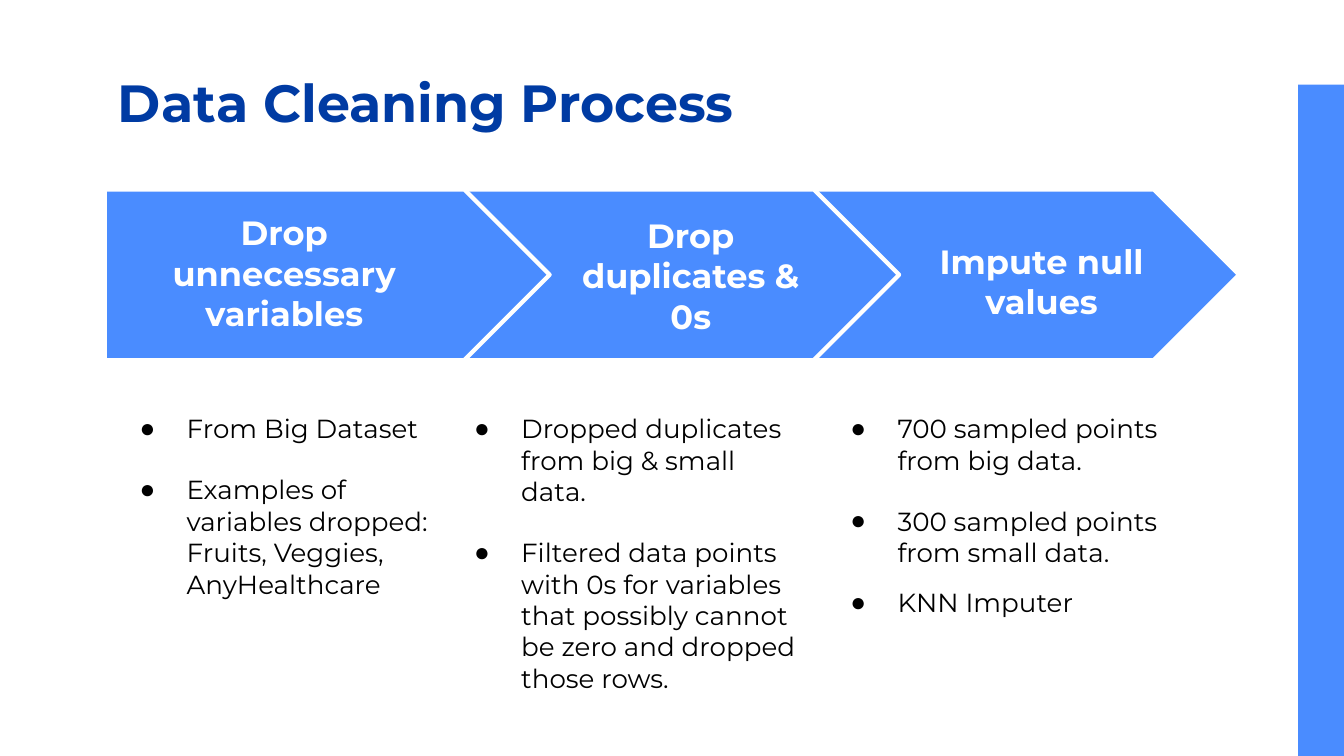
import dataclasses
import typing

import pptx
import pptx.dml.color
import pptx.enum.shapes
import pptx.enum.text
import pptx.oxml.ns
import pptx.presentation
import pptx.shapes.autoshape
import pptx.slide
import pptx.text.text
import pptx.util
from lxml import etree

Inches = pptx.util.Inches
Pt = pptx.util.Pt
Color = pptx.dml.color.RGBColor
Kind = pptx.enum.shapes.MSO_SHAPE
Align = pptx.enum.text.PP_ALIGN

FONT = "Montserrat"
BLUE = Color(0x4A, 0x8C, 0xFF)
NAVY = Color(0x00, 0x3B, 0xA3)
WHITE = Color(0xFF, 0xFF, 0xFF)
BLACK = Color(0x00, 0x00, 0x00)


class Box(typing.NamedTuple):
    left: float
    top: float
    width: float
    height: float


class Point(typing.NamedTuple):
    text: str
    before: int = 0


@dataclasses.dataclass(frozen=True)
class Step:
    arrow: float
    head: str
    label: Box
    notes: Box
    points: tuple[Point, ...]


STEPS = (
    Step(0.78, "Drop unnecessary variables", Box(0.95, 1.48, 2.33, 1.01), Box(0.79, 2.97, 2.66, 2.15), (
        Point("From Big Dataset"),
        Point("Examples of variables dropped: Fruits, Veggies, AnyHealthcare", 16),
    )),
    Step(3.38, "Drop duplicates & 0s", Box(4.19, 1.5, 1.9, 0.99), Box(3.28, 2.97, 2.76, 2.15), (
        Point("Dropped duplicates from big & small data."),
        Point("Filtered data points with 0s for variables that possibly cannot be zero and dropped those rows.", 16),
    )),
    Step(5.91, "Impute null values", Box(6.8, 1.69, 1.9, 0.71), Box(6.08, 2.97, 2.66, 2.15), (
        Point("700 sampled points from big data."),
        Point("300 sampled points from small data.", 16),
        Point("KNN Imputer", 10),
    )),
)


def add_block(slide: pptx.slide.Slide, kind: Kind, box: Box) -> pptx.shapes.autoshape.Shape:
    shape = slide.shapes.add_shape(kind, *map(Inches, box))
    shape.shadow.inherit = False
    shape.fill.solid()
    shape.fill.fore_color.rgb = BLUE
    shape.line.fill.background()
    return shape


def add_arrow(slide: pptx.slide.Slide, left: float) -> None:
    shape = add_block(slide, Kind.PENTAGON, Box(left, 1.41, 3.31, 1.27))
    shape.adjustments[0] = 0.5
    shape.line.color.rgb = WHITE
    shape.line.width = Pt(2.25)


def add_frame(slide: pptx.slide.Slide, box: Box) -> pptx.text.text.TextFrame:
    frame = slide.shapes.add_textbox(*map(Inches, box)).text_frame
    frame.word_wrap = True
    frame.margin_left = frame.margin_right = Inches(0.1)
    frame.margin_top = frame.margin_bottom = Inches(0.1)
    return frame


def style(para: pptx.text.text._Paragraph, size: int, color: Color, bold: bool = False) -> None:
    para.font.name = FONT
    para.font.size = Pt(size)
    para.font.bold = bold
    para.font.color.rgb = color


def add_line(slide: pptx.slide.Slide, box: Box, text: str, size: int, color: Color, align: Align) -> None:
    para = add_frame(slide, box).paragraphs[0]
    para.text = text
    para.alignment = align
    style(para, size, color, bold=True)


def add_bullet(para: pptx.text.text._Paragraph) -> None:
    qn = pptx.oxml.ns.qn
    props = para._p.get_or_add_pPr()
    props.set("marL", str(Inches(0.5)))
    props.set("indent", str(Inches(-0.35)))
    tint = etree.SubElement(props, qn("a:buClr"))
    etree.SubElement(tint, qn("a:srgbClr"), val=str(BLACK))
    etree.SubElement(props, qn("a:buFont"), typeface="Arial")
    etree.SubElement(props, qn("a:buChar"), char="●")


def add_notes(slide: pptx.slide.Slide, step: Step) -> None:
    frame = add_frame(slide, step.notes)
    for i, point in enumerate(step.points):
        para = frame.add_paragraph() if i else frame.paragraphs[0]
        para.text = point.text
        add_bullet(para)
        if point.before:
            para.space_before = Pt(point.before)
        style(para, 14, BLACK)


def main() -> None:
    """Build the data cleaning slide and save it."""
    deck = pptx.Presentation()
    deck.slide_width = Inches(10)
    deck.slide_height = deck.slide_width * 9 // 16
    slide = deck.slides.add_slide(deck.slide_layouts[6])

    add_block(slide, Kind.RECTANGLE, Box(9.66, 0.63, 0.34, 5))
    for step in reversed(STEPS):
        add_arrow(slide, step.arrow)
    add_line(slide, Box(0.78, 0.42, 8.43, 0.71), "Data Cleaning Process", 28, NAVY, Align.LEFT)
    for step in STEPS:
        add_line(slide, step.label, step.head, 18, WHITE, Align.CENTER)
    for step in STEPS:
        add_notes(slide, step)

    deck.save("out.pptx")


if __name__ == "__main__":
    main()
